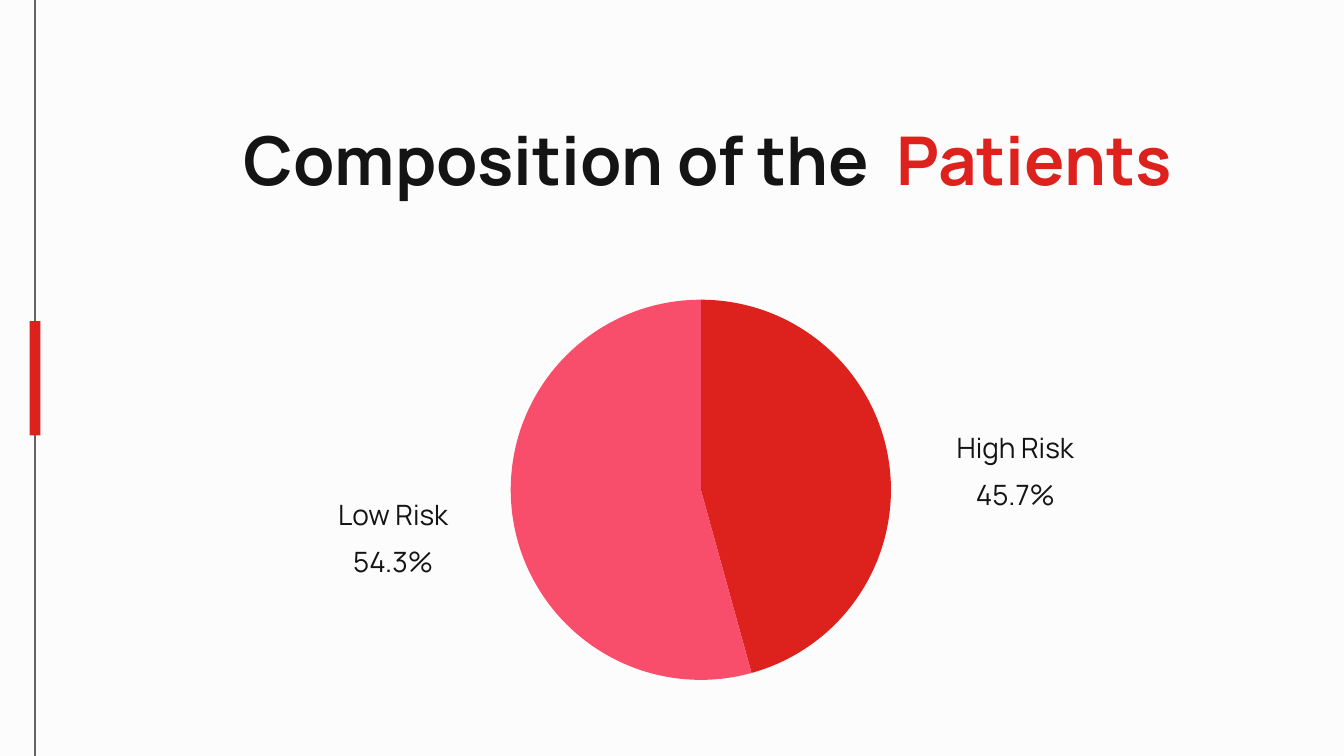
import pptx
import pptx.chart.data
import pptx.dml.color
import pptx.enum.chart
import pptx.enum.shapes
import pptx.enum.text
import pptx.oxml
import pptx.oxml.ns
import pptx.util

Inches = pptx.util.Inches

WIDTH = 10
HEIGHT = WIDTH * 9 / 16

INK = "141414"
RED = "DD211D"
PINK = "F94E6B"
PAPER = "FDFCFC"


def paint(fill, colour):
    fill.solid()
    fill.fore_color.rgb = pptx.dml.color.RGBColor.from_string(colour)


class Deck:
    """Holds the style and the current slide."""

    font = "Manrope"

    def __init__(self, width, height):
        self.presentation = pptx.Presentation()
        self.presentation.slide_width = Inches(width)
        self.presentation.slide_height = Inches(height)
        self.slide = None

    def add_slide(self, background):
        blank = self.presentation.slide_layouts[6]
        self.slide = self.presentation.slides.add_slide(blank)
        paint(self.slide.background.fill, background)

    def text(self, box, paragraphs, size, spacing, bold=False):
        """Each paragraph is a list of (wording, colour) runs."""
        frame = self.slide.shapes.add_textbox(*map(Inches, box)).text_frame
        frame.word_wrap = True
        frame.margin_left = frame.margin_right = 0
        frame.margin_top = frame.margin_bottom = 0
        for index, runs in enumerate(paragraphs):
            paragraph = frame.add_paragraph() if index else frame.paragraphs[0]
            paragraph.alignment = pptx.enum.text.PP_ALIGN.CENTER
            paragraph.line_spacing = spacing
            for wording, colour in runs:
                run = paragraph.add_run()
                run.text = wording
                run.font.name = self.font
                run.font.size = pptx.util.Pt(size)
                run.font.bold = bold
                paint(run.font.fill, colour)

    def bar(self, box, colour):
        rectangle = self.slide.shapes.add_shape(
            pptx.enum.shapes.MSO_SHAPE.RECTANGLE, *map(Inches, box))
        rectangle.shadow.inherit = False
        rectangle.line.fill.background()
        paint(rectangle.fill, colour)

    def pie(self, box, title, slices):
        """Each slice is (name, share, colour)."""
        data = pptx.chart.data.CategoryChartData(number_format="0.0%")
        data.categories = [name for name, _, _ in slices]
        data.add_series(title, [share for _, share, _ in slices])
        chart = self.slide.shapes.add_chart(
            pptx.enum.chart.XL_CHART_TYPE.PIE, *map(Inches, box), data).chart
        chart.has_title = False
        chart.has_legend = False
        chart.font.name = self.font
        chart.font.size = pptx.util.Pt(15)
        paint(chart.font.fill, INK)
        plot = chart.plots[0]
        plot.vary_by_categories = False
        for index, (_, _, colour) in enumerate(slices):
            point = plot.series[0].points[index]
            paint(point.format.fill, colour)
            point.format.line.fill.background()
        self.fill_frame(chart)

    @staticmethod
    def fill_frame(chart):
        """Stretch the plot area over the whole chart frame."""
        plot_area = chart.element.find(".//" + pptx.oxml.ns.qn("c:plotArea"))
        for old in plot_area.findall(pptx.oxml.ns.qn("c:layout")):
            plot_area.remove(old)
        places = "".join(f'<c:{tag} val="{value}"/>'
                         for tag, value in zip("xywh", (0, 0, 1, 1)))
        plot_area.insert(0, pptx.oxml.parse_xml(
            f'<c:layout {pptx.oxml.ns.nsdecls("c")}><c:manualLayout>'
            '<c:layoutTarget val="inner"/>'
            '<c:xMode val="edge"/><c:yMode val="edge"/>'
            f'{places}</c:manualLayout></c:layout>'))


def main():
    deck = Deck(WIDTH, HEIGHT)
    deck.add_slide(PAPER)

    # Title
    deck.text((1.69, 0.76, 7.15, 1.2),
              [[("Composition of the  ", INK), ("Patients", RED)]],
              size=36, spacing=1.2, bold=True)

    # Risk shares: the pie and a label beside each slice
    risks = [("High Risk", 0.457, RED, (7.07, 3.1, 0.97, 0.57)),
             ("Low Risk", 0.543, PINK, (2.48, 3.6, 0.89, 0.57))]
    deck.pie((3.8, 2.23, 2.83, 2.83), "Patients",
             [(name, share, colour) for name, share, colour, _ in risks])
    for name, share, _, label_box in risks:
        deck.text(label_box, [[(name, INK)], [(f"{share:.1%}", INK)]],
                  size=15, spacing=1.4)

    # Left rail, centred on its marker
    marker_left, marker_width, rail_width = 0.22, 0.08, 0.01
    rail_left = marker_left + (marker_width - rail_width) / 2
    deck.bar((rail_left, 0, rail_width, HEIGHT), INK)
    deck.bar((marker_left, 2.39, marker_width, 0.85), RED)

    deck.presentation.save("out.pptx")


if __name__ == "__main__":
    main()
